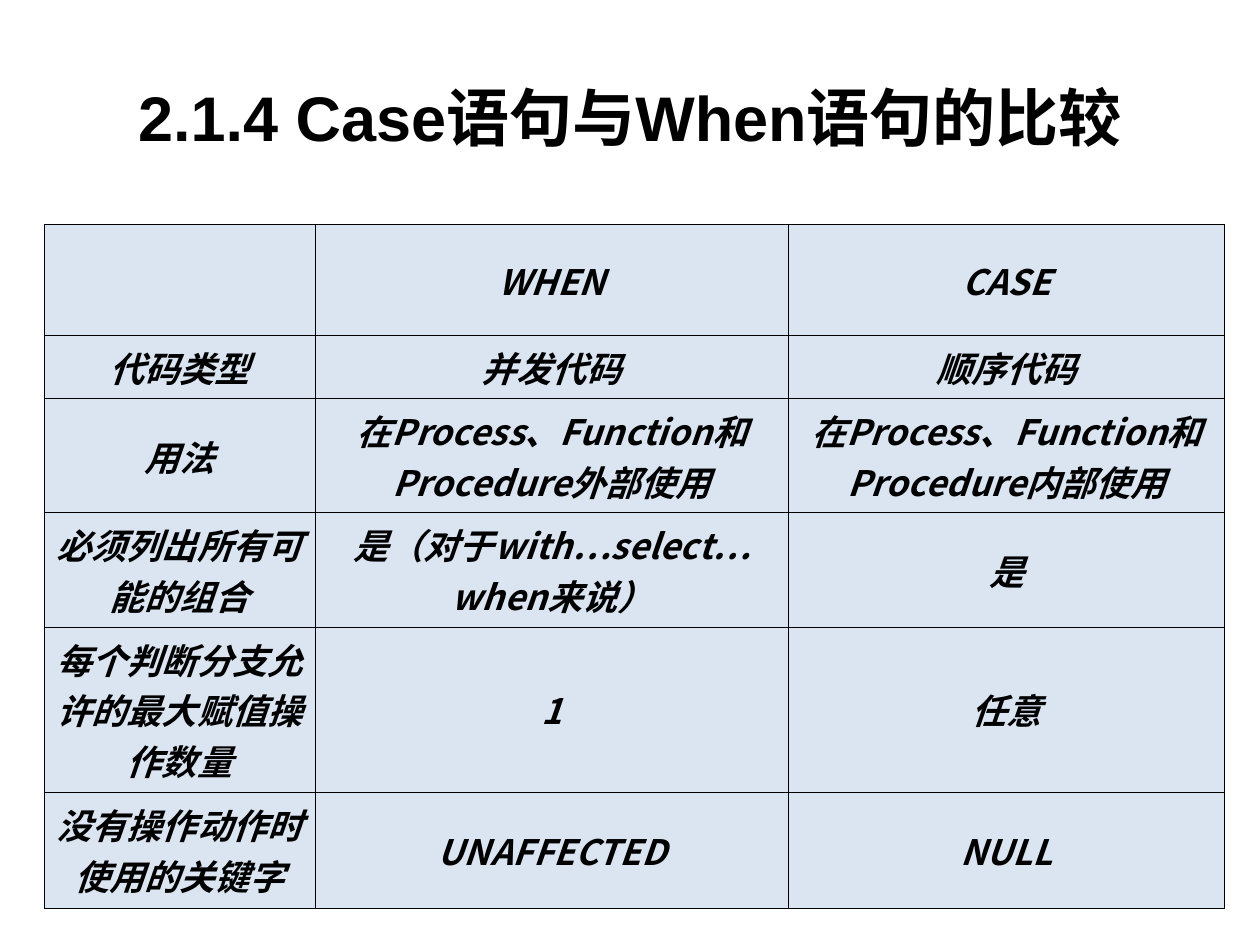
from dataclasses import dataclass

from lxml import etree
from pptx import Presentation
from pptx.dml.color import RGBColor
from pptx.enum import text
from pptx.oxml import ns
from pptx.util import Inches, Pt


@dataclass(frozen=True)
class Theme:
    ink: str = "000000"
    cell: str = "DAE5F1"
    title_font: str = "Arial"
    body_font: str = "Noto Sans CJK SC"
    title_size: float = 36
    body_size: float = 20
    border: float = 0.45


theme = Theme()


def format_paragraph(paragraph, latin, size, italic):
    paragraph.alignment = text.PP_ALIGN.CENTER
    font = paragraph.font
    font.name, font.size, font.bold, font.italic = latin, Pt(size), True, italic
    font.color.rgb = RGBColor.from_string(theme.ink)
    defaults = paragraph._p.pPr.find(ns.qn("a:defRPr"))
    etree.SubElement(defaults, ns.qn("a:ea"), typeface=theme.body_font)


def add_borders(cell):
    properties = cell._tc.get_or_add_tcPr()
    for position, side in enumerate(("lnL", "lnR", "lnT", "lnB")):
        line = etree.Element(ns.qn(f"a:{side}"), w=str(Pt(theme.border)))
        fill = etree.SubElement(line, ns.qn("a:solidFill"))
        etree.SubElement(fill, ns.qn("a:srgbClr"), val=theme.ink)
        properties.insert(position, line)


presentation = Presentation()
presentation.slide_width, presentation.slide_height = Inches(10), Inches(7.5)
slide = presentation.slides.add_slide(presentation.slide_layouts[5])

title = slide.shapes.title
title.left, title.top = Inches(0.5), Inches(0.3)
title.width, title.height = Inches(9), Inches(1.25)
title.text_frame.text = "2.1.4 Case语句与When语句的比较"
title.text_frame.vertical_anchor = text.MSO_ANCHOR.MIDDLE
format_paragraph(title.text_frame.paragraphs[0], theme.title_font, theme.title_size, False)

comparison = [
    ("", "WHEN", "CASE"),
    ("代码类型", "并发代码", "顺序代码"),
    ("用法", "在Process、Function和Procedure外部使用", "在Process、Function和Procedure内部使用"),
    ("必须列出所有可能的组合", "是（对于with…select…when来说）", "是"),
    ("每个判断分支允许的最大赋值操作数量", "1", "任意"),
    ("没有操作动作时使用的关键字", "UNAFFECTED", "NULL"),
]
column_widths = [2.15, 3.76, 3.46]
row_heights = [0.88, 0.43, 0.77, 0.77, 1.1, 0.92]

table = slide.shapes.add_table(
    len(row_heights), len(column_widths), Inches(0.35), Inches(1.78),
    Inches(sum(column_widths)), Inches(sum(row_heights)),
).table
table.first_row = table.horz_banding = False
for column, width in zip(table.columns, column_widths):
    column.width = Inches(width)
for row, height, wordings in zip(table.rows, row_heights, comparison):
    row.height = Inches(height)
    for cell, wording in zip(row.cells, wordings):
        cell.fill.solid()
        cell.fill.fore_color.rgb = RGBColor.from_string(theme.cell)
        cell.vertical_anchor = text.MSO_ANCHOR.MIDDLE
        cell.margin_left = cell.margin_right = Inches(0.09)
        cell.margin_top = cell.margin_bottom = Inches(0.05)
        add_borders(cell)
        if wording:
            cell.text_frame.text = wording
            format_paragraph(cell.text_frame.paragraphs[0], theme.body_font, theme.body_size, True)

presentation.save("out.pptx")
